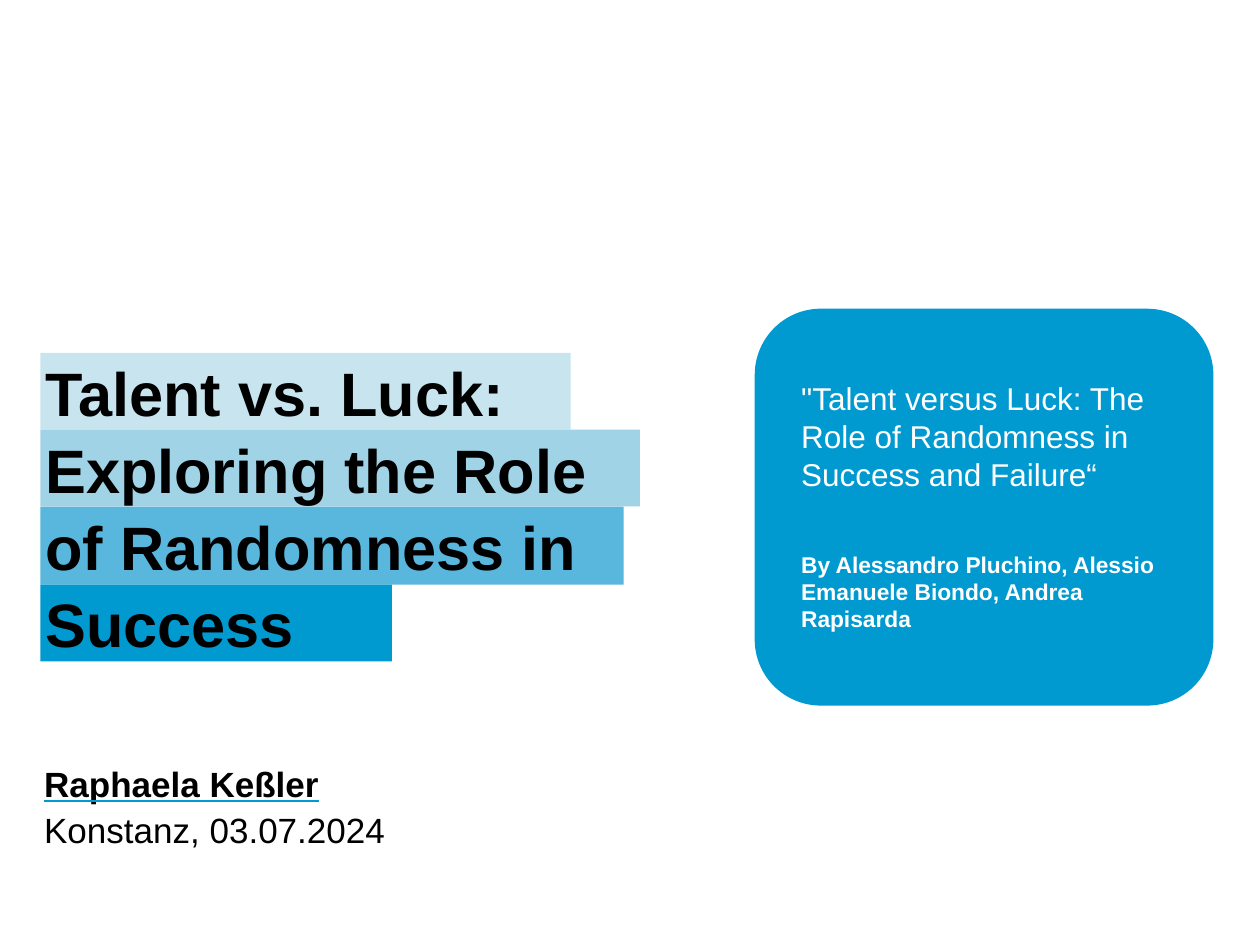
import pptx
import pptx.dml.color
import pptx.enum.shapes
import pptx.enum.text
import pptx.oxml
import pptx.oxml.ns
import pptx.util

RGBColor = pptx.dml.color.RGBColor
Shapes = pptx.enum.shapes.MSO_SHAPE
Anchor = pptx.enum.text.MSO_ANCHOR
AutoSize = pptx.enum.text.MSO_AUTO_SIZE

BLACK = RGBColor(0x00, 0x00, 0x00)
WHITE = RGBColor(0xFF, 0xFF, 0xFF)
BLUE = RGBColor(0x00, 0x9A, 0xD1)
MIDDLE_BLUE = RGBColor(0x59, 0xB6, 0xDC)
LIGHT_BLUE = RGBColor(0xA0, 0xD3, 0xE6)
PALE_BLUE = RGBColor(0xC8, 0xE5, 0xEF)

PX_PER_INCH = 100
FONT = "Arial"

BAR_LEFT, BARS_TOP, BARS_HEIGHT = 32, 280, 245
TITLE_BARS = [(421, PALE_BLUE), (476, LIGHT_BLUE), (463, MIDDLE_BLUE), (279, BLUE)]


def px(length):
    return pptx.util.Inches(length / PX_PER_INCH)


def add_block(page, kind, left, top, width, height, color):
    """Add a plain filled shape without outline or shadow."""
    block = page.shapes.add_shape(kind, px(left), px(top), px(width), px(height))
    block.shadow.inherit = False
    block.fill.solid()
    block.fill.fore_color.rgb = color
    block.line.fill.background()


def add_title_bars(page):
    count = len(TITLE_BARS)
    edges = [BARS_TOP + round(BARS_HEIGHT * i / count) for i in range(count + 1)]
    for (width, color), top, bottom in zip(TITLE_BARS, edges, edges[1:]):
        add_block(page, Shapes.RECTANGLE, BAR_LEFT, top, width, bottom - top, color)


def place_placeholder(box, left, top, width, height, bottom_margin=0):
    box.left, box.top, box.width, box.height = map(px, (left, top, width, height))
    frame = box.text_frame
    frame.margin_left = frame.margin_top = frame.margin_right = 0
    frame.margin_bottom = px(bottom_margin)
    frame.vertical_anchor = Anchor.BOTTOM
    frame.auto_size = AutoSize.NONE
    frame.word_wrap = True
    return frame


def write(para, text, size, color=BLACK, bold=False, underline=None,
          line_spacing=1.0, space_after=0):
    """Fill a paragraph with formatted text; underline is the line's colour."""
    para.text = text
    para.alignment = pptx.enum.text.PP_ALIGN.LEFT
    para.line_spacing = line_spacing
    para.space_before = pptx.util.Pt(0)
    para.space_after = pptx.util.Pt(space_after)
    for span in para.runs:
        span.font.name = FONT
        span.font.size = pptx.util.Pt(size)
        span.font.bold = bold
        span.font.color.rgb = color
        if underline is not None:
            span.font.underline = True
            line_fill = pptx.oxml.parse_xml(
                f'<a:uFill {pptx.oxml.ns.nsdecls("a")}><a:solidFill>'
                f'<a:srgbClr val="{underline}"/></a:solidFill></a:uFill>')
            span.font.fill  # the underline fill goes before the typeface
            latin = span.font._element.find(pptx.oxml.ns.qn("a:latin"))
            latin.addprevious(line_fill)


def add_paper_card(page):
    add_block(page, Shapes.ROUNDED_RECTANGLE, 599, 245, 364, 315, BLUE)
    box = page.shapes.add_textbox(px(626), px(296), px(311), px(214))
    frame = box.text_frame
    frame.word_wrap = True
    frame.auto_size = AutoSize.SHAPE_TO_FIT_TEXT
    write(frame.paragraphs[0],
          '"Talent versus Luck: The Role of Randomness in Success and Failure“',
          size=18, color=WHITE, space_after=33)
    write(frame.add_paragraph(),
          "By Alessandro Pluchino, Alessio Emanuele Biondo, Andrea Rapisarda",
          size=13, color=WHITE, bold=True, space_after=6)


def main():
    deck = pptx.Presentation()
    deck.slide_width, deck.slide_height = px(1000), px(750)
    page = deck.slides.add_slide(deck.slide_layouts[0])
    title, subtitle = page.shapes.title, page.placeholders[1]

    add_title_bars(page)
    for box in (subtitle, title):
        page.shapes._spTree.append(box._element)  # bring the text above the bars

    frame = place_placeholder(subtitle, 35, 588, 575, 87)
    write(frame.paragraphs[0], "Raphaela Keßler", size=20, bold=True,
          underline=BLUE, line_spacing=1.1)
    write(frame.add_paragraph(), "Konstanz, 03.07.2024", size=20, line_spacing=1.1)

    frame = place_placeholder(title, 36, 273, 575, 260, bottom_margin=9)
    write(frame.paragraphs[0],
          "Talent vs. Luck: Exploring the Role \vof Randomness in Success",
          size=35, bold=True, line_spacing=1.05)

    add_paper_card(page)
    deck.save("out.pptx")


if __name__ == "__main__":
    main()
